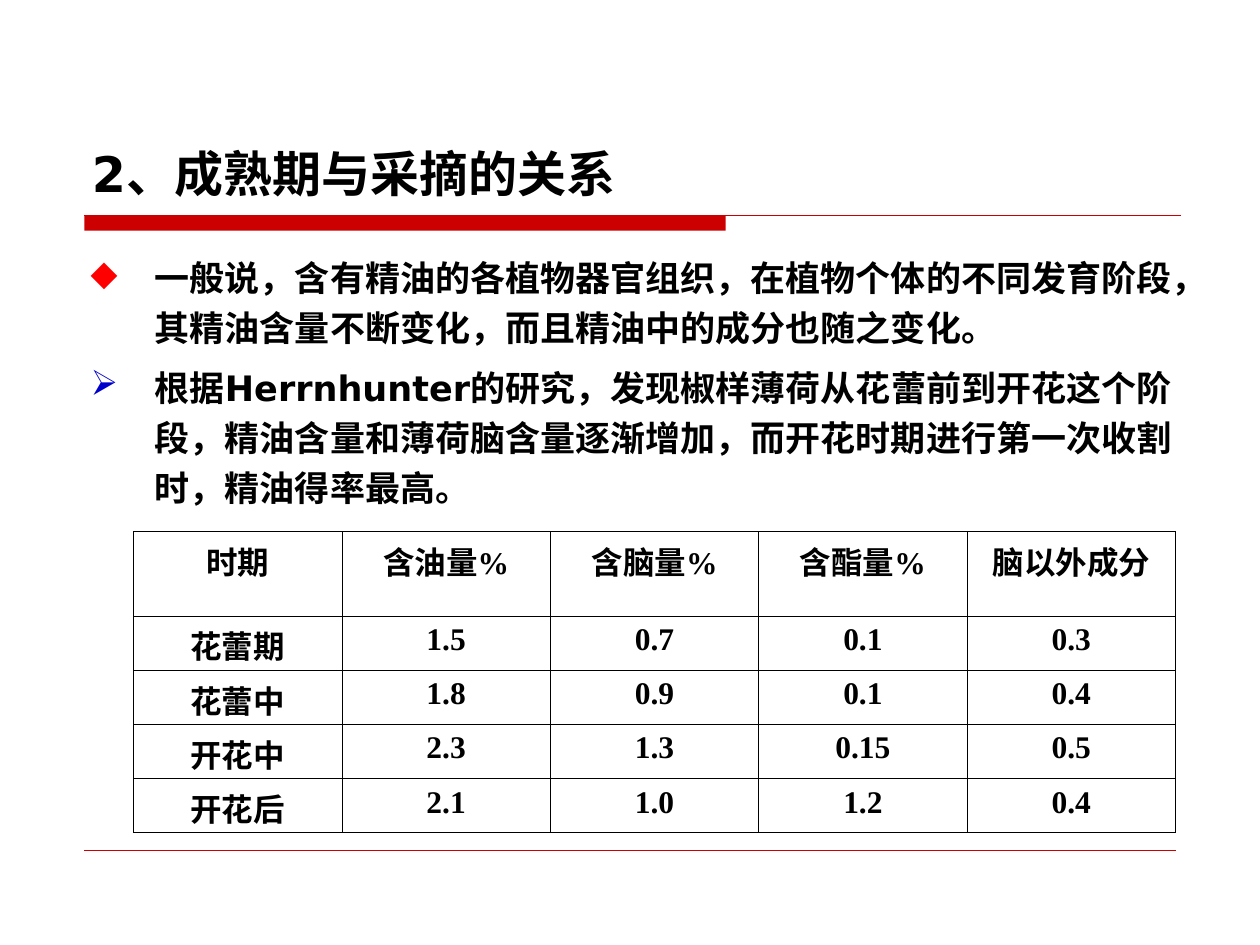
from dataclasses import dataclass

from lxml.etree import SubElement
from pptx import Presentation
from pptx.dml.color import RGBColor
from pptx.enum.lang import MSO_LANGUAGE_ID as LANG
from pptx.enum.shapes import MSO_CONNECTOR as CONN, MSO_SHAPE as SHAPE
from pptx.enum.text import MSO_ANCHOR as ANCHOR, MSO_AUTO_SIZE as FIT, PP_ALIGN as ALIGN
from pptx.oxml import parse_xml
from pptx.oxml.ns import nsdecls, qn
from pptx.util import Inches, Pt

BLACK = RGBColor(0x00, 0x00, 0x00)
CRIMSON = RGBColor(0xCC, 0x00, 0x00)
RED = RGBColor(0xFF, 0x00, 0x00)
BLUE = RGBColor(0x00, 0x00, 0xCC)
SANS, SERIF = "DejaVu Sans", "Times New Roman"


@dataclass
class Bullet:
    mark: str
    color: RGBColor
    text: str


@dataclass
class Rule:
    left: float
    right: float
    y: float
    width: float


TITLE = "2、成熟期与采摘的关系"
BULLETS = [
    Bullet("◆", RED, "一般说，含有精油的各植物器官组织，在植物个体的不同发育阶段，"
                     "其精油含量不断变化，而且精油中的成分也随之变化。"),
    Bullet("➢", BLUE, "根据Herrnhunter的研究，发现椒样薄荷从花蕾前到开花这个阶段，"
                      "精油含量和薄荷脑含量逐渐增加，而开花时期进行第一次收割时，精油得率最高。"),
]
RULES = [Rule(0.67, 9.37, 1.71, 0.75), Rule(0.67, 9.33, 6.75, 0.25)]
ROWS = [
    ("时期", "含油量%", "含脑量%", "含酯量%", "脑以外成分"),
    ("花蕾期", "1.5", "0.7", "0.1", "0.3"),
    ("花蕾中", "1.8", "0.9", "0.1", "0.4"),
    ("开花中", "2.3", "1.3", "0.15", "0.5"),
    ("开花后", "2.1", "1.0", "1.2", "0.4"),
]
HEAD_H, ROW_H = 0.67, 0.43


def add_run(p, text: str, font: str, size: float) -> None:
    r = p.add_run()
    r.text = text
    r.font.name, r.font.size, r.font.bold = font, Pt(size), True
    r.font.color.rgb = BLACK
    r.font.language_id = LANG.SIMPLIFIED_CHINESE


def add_rule(slide, rule: Rule) -> None:
    y = Inches(rule.y)
    line = slide.shapes.add_connector(
        CONN.STRAIGHT, Inches(rule.left), y, Inches(rule.right), y)
    line.line.color.rgb = CRIMSON
    line.line.width = Pt(rule.width)
    SubElement(line._element.spPr, qn("a:effectLst"))


def add_bullet(p, bullet: Bullet) -> None:
    p.line_spacing, p.space_before = 1.2, Pt(5)
    pPr = p._p.get_or_add_pPr()
    pPr.set("marL", str(Inches(0.51)))
    pPr.set("indent", str(-Inches(0.51)))
    color = SubElement(pPr, qn("a:buClr"))
    SubElement(color, qn("a:srgbClr"), val=str(bullet.color))
    SubElement(pPr, qn("a:buChar"), char=bullet.mark)
    add_run(p, bullet.text, SANS, 20)


def fill_cell(cell, text: str) -> None:
    cell.fill.background()
    tcPr = cell._tc.get_or_add_tcPr()
    for i, side in enumerate("LRTB"):
        tcPr.insert(i, parse_xml(
            f'<a:ln{side} {nsdecls("a")} w="{Pt(0.45)}"><a:solidFill>'
            f'<a:srgbClr val="{BLACK}"/></a:solidFill></a:ln{side}>'))
    p = cell.text_frame.paragraphs[0]
    p.alignment = ALIGN.CENTER
    add_run(p, text, SERIF, 18)


def main() -> None:
    prs = Presentation()
    prs.slide_width, prs.slide_height = Inches(10), Inches(7.5)
    slide = prs.slides.add_slide(prs.slide_layouts[5])

    # Red bar and thin rules
    bar = slide.shapes.add_shape(
        SHAPE.RECTANGLE, Inches(0.67), Inches(1.71), Inches(5.09), Inches(0.12))
    bar.shadow.inherit = False
    bar.fill.solid()
    bar.fill.fore_color.rgb = CRIMSON
    bar.line.fill.background()
    for rule in RULES:
        add_rule(slide, rule)

    # Title
    title = slide.shapes.title
    title.left, title.top = Inches(0.63), Inches(0.33)
    title.width, title.height = Inches(8.75), Inches(1.33)
    tf = title.text_frame
    tf.auto_size, tf.vertical_anchor = FIT.NONE, ANCHOR.BOTTOM
    tf.paragraphs[0].alignment = ALIGN.LEFT
    add_run(tf.paragraphs[0], TITLE, SANS, 28)

    # Bulleted text
    body = slide.shapes.add_textbox(
        Inches(0.62), Inches(1.92), Inches(8.95), Inches(2.23))
    tf = body.text_frame
    tf.word_wrap = True
    for i, bullet in enumerate(BULLETS):
        add_bullet(tf.add_paragraph() if i else tf.paragraphs[0], bullet)

    # Table of contents by growth stage
    heights = [HEAD_H] + [ROW_H] * (len(ROWS) - 1)
    table = slide.shapes.add_table(
        len(ROWS), len(ROWS[0]), Inches(1.06), Inches(4.22),
        Inches(8.27), Inches(sum(heights))).table
    table.first_row = table.horz_banding = False
    for row, height, texts in zip(table.rows, heights, ROWS):
        row.height = Inches(height)
        for cell, text in zip(row.cells, texts):
            fill_cell(cell, text)

    prs.save("out.pptx")


if __name__ == "__main__":
    main()
